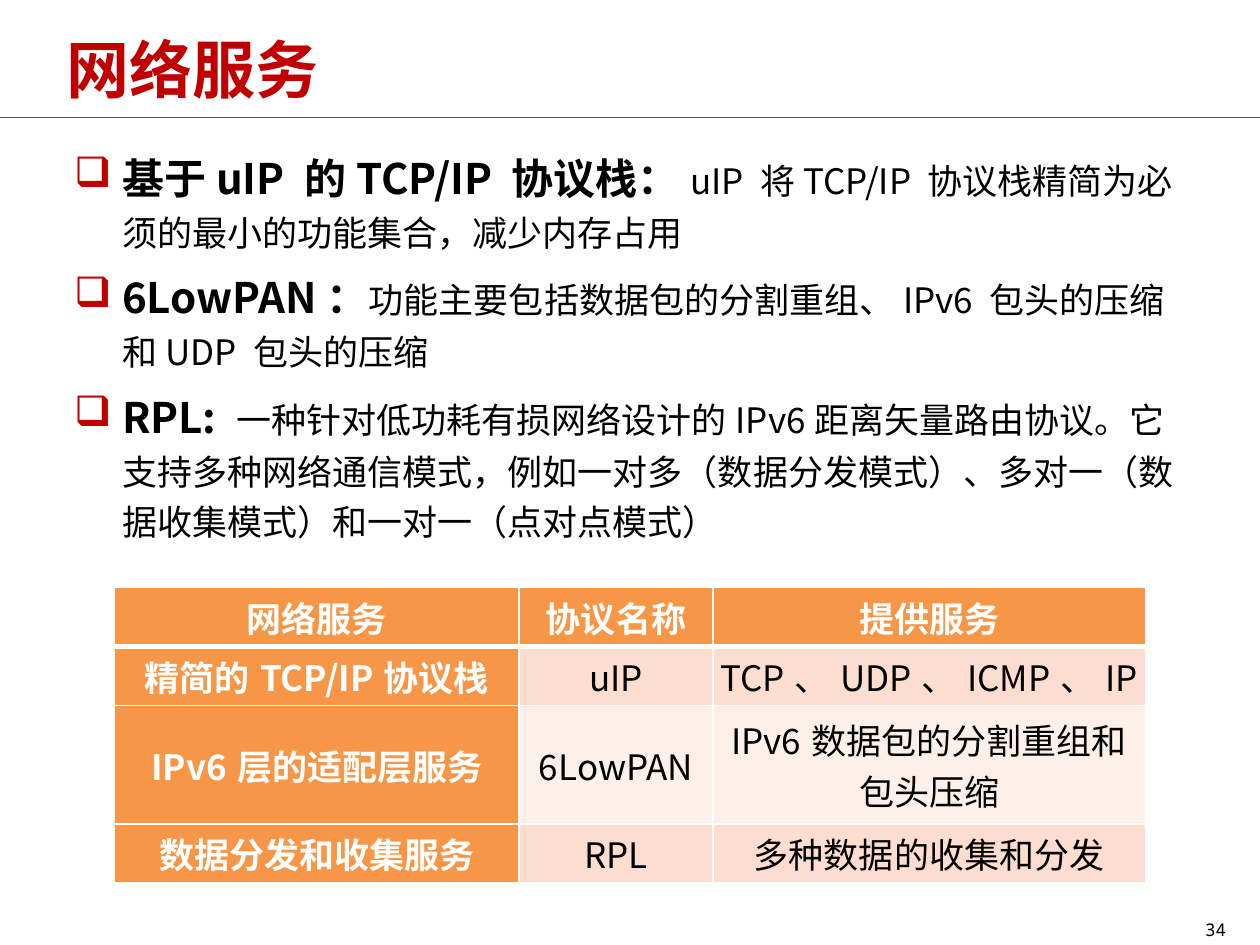
from lxml import etree
from pptx import Presentation, util as u
from pptx.dml.color import RGBColor
from pptx.enum import shapes, text
from pptx.oxml import ns

SANS = "Noto Sans CJK SC"
MONO = "Noto Sans Mono"
RED, BLACK, WHITE, ORANGE = "C00000", "000000", "FFFFFF", "F79646"
BANDS = ["FCDDCF", "FDEFE9"]

POINTS = [
    ("基于uIP 的TCP/IP 协议栈：",
     "uIP 将TCP/IP 协议栈精简为必须的最小的功能集合，减少内存占用"),
    ("6LowPAN：",
     "功能主要包括数据包的分割重组、IPv6 包头的压缩和UDP 包头的压缩"),
    ("RPL: ",
     "一种针对低功耗有损网络设计的IPv6距离矢量路由协议。它支持多种网络通信模式，"
     "例如一对多（数据分发模式）、多对一（数据收集模式）和一对一（点对点模式）"),
]
ROWS = [
    ("网络服务", "协议名称", "提供服务"),
    ("精简的TCP/IP协议栈", "uIP", "TCP、UDP、ICMP、IP"),
    ("IPv6层的适配层服务", "6LowPAN", "IPv6数据包的分割重组和包头压缩"),
    ("数据分发和收集服务", "RPL", "多种数据的收集和分发"),
]


def color(code):
    return RGBColor.from_string(code)


def node(root, tag, **attrs):
    return etree.SubElement(root, ns.qn(tag), **attrs)


class Deck:
    def __init__(self):
        self.file = Presentation()
        self.file.slide_width = u.Inches(10)
        self.file.slide_height = u.Inches(7.5)
        self.slide = self.file.slides.add_slide(self.file.slide_layouts[6])

    def style(self, run, size, tint=BLACK, bold=False, face=SANS):
        font = run.font
        font.size, font.bold, font.name = u.Pt(size), bold, face
        font.color.rgb = color(tint)
        node(run._r.get_or_add_rPr(), "a:ea", typeface=face)

    def rule(self, top, tint, width):
        line = self.slide.shapes.add_connector(
            shapes.MSO_CONNECTOR.STRAIGHT, 0, u.Inches(top),
            self.file.slide_width, u.Inches(top))
        line.line.color.rgb = color(tint)
        line.line.width = u.Pt(width)
        node(line._element.spPr, "a:effectLst")

    def frame(self, left, top, width, height, inset=0.05):
        box = self.slide.shapes.add_textbox(*map(u.Inches, (left, top, width, height)))
        frame = box.text_frame
        frame.word_wrap = True
        frame.margin_top = u.Inches(inset)
        return frame

    def title(self, words):
        frame = self.frame(0.43, 0.04, 9.01, 1)
        frame.vertical_anchor = text.MSO_ANCHOR.MIDDLE
        frame.text = words
        self.style(frame.paragraphs[0].runs[0], 36, RED, True)

    def bullets(self, points):
        frame = self.frame(0.49, 1.08, 9.08, 5.92)
        for n, (head, body) in enumerate(points):
            para = frame.add_paragraph() if n else frame.paragraphs[0]
            para.line_spacing = 1.2
            para.space_before = u.Pt(5 if n else 0)
            props = para._p.get_or_add_pPr()
            props.set("marL", str(u.Inches(0.38)))
            props.set("indent", str(-u.Inches(0.38)))
            node(node(props, "a:buClr"), "a:srgbClr", val=RED)
            node(props, "a:buChar", char="❑")
            for words, size, bold in ((head, 24, True), (body, 20, False)):
                run = para.add_run()
                run.text = words
                self.style(run, size, bold=bold)

    def number(self, words):
        frame = self.frame(9, 7.17, 0.83, 0.25, 0.12)
        frame.margin_bottom = 0
        frame.text = words
        para = frame.paragraphs[0]
        para.alignment = text.PP_ALIGN.RIGHT
        self.style(para.runs[0], 10, face=MONO)

    def cell(self, cell, words, fill, tint, bold, base):
        cell.fill.solid()
        cell.fill.fore_color.rgb = color(fill)
        cell.margin_left = cell.margin_right = u.Inches(0.04)
        cell.margin_top = cell.margin_bottom = 0
        cell.vertical_anchor = text.MSO_ANCHOR.MIDDLE
        cell.text_frame.text = words
        para = cell.text_frame.paragraphs[0]
        para.alignment = text.PP_ALIGN.CENTER
        self.style(para.runs[0], 20, tint, bold)
        props = cell._tc.get_or_add_tcPr()
        for n, (side, width) in enumerate(zip("LRTB", base)):
            edge = node(props, "a:ln" + side, w=str(u.Pt(width)))
            node(node(edge, "a:solidFill"), "a:srgbClr", val=WHITE)
            props.insert(n, edge)

    def table(self, rows, left, top, wide, high):
        grid = self.slide.shapes.add_table(
            len(rows), len(wide), u.Inches(left), u.Inches(top),
            u.Inches(sum(wide)), u.Inches(sum(high))).table
        for col, width in zip(grid.columns, wide):
            col.width = u.Inches(width)
        for r, (row, height) in enumerate(zip(rows, high)):
            grid.rows[r].height = u.Inches(height)
            edges = (1, 1, 3 if r == 1 else 1, 3 if r == 0 else 1)
            for c, words in enumerate(row):
                head = r == 0 or c == 0
                fill = ORANGE if head else BANDS[(r - 1) % 2]
                tint = WHITE if head else BLACK
                self.cell(grid.cell(r, c), words, fill, tint, head, edges)


def main():
    deck = Deck()
    deck.rule(0.93, "CC3300", 0.25)
    deck.title("网络服务")
    deck.bullets(POINTS)
    deck.number("34")
    deck.table(ROWS, 0.91, 4.66, (3.21, 1.54, 3.43), (0.47, 0.47, 0.94, 0.47))
    deck.file.save("out.pptx")


if __name__ == "__main__":
    main()
